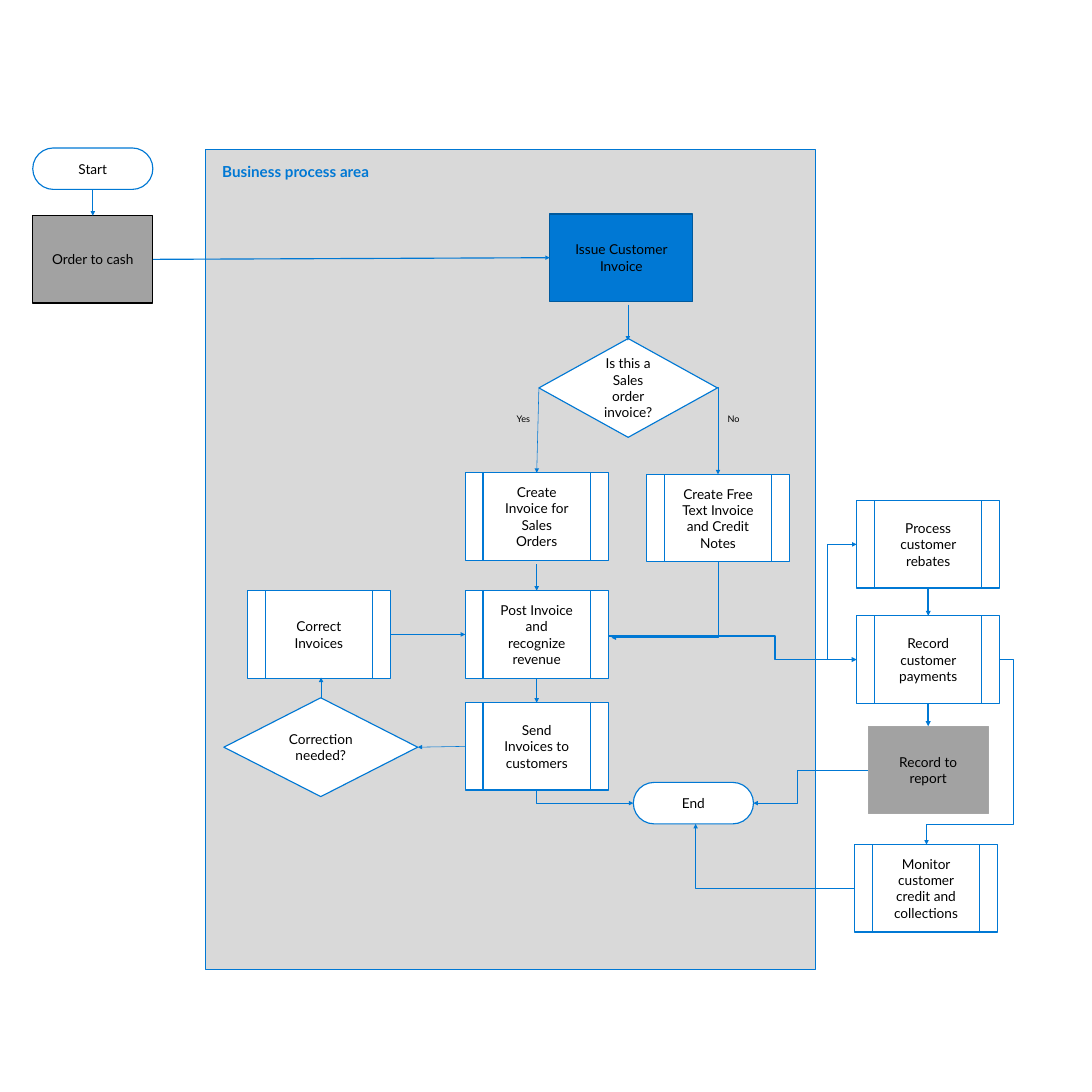
from pptx import Presentation
from pptx.dml.color import RGBColor
from pptx.enum.shapes import MSO_CONNECTOR as Connector, MSO_SHAPE as Shape
from pptx.enum.text import MSO_ANCHOR as Anchor, MSO_AUTO_SIZE as AutoSize, PP_ALIGN as Align
from pptx.oxml.ns import qn
from pptx.util import Emu, Pt
from lxml.etree import SubElement

PX = 9144  # 100 px to the inch
BLUE, DARK_BLUE, WHITE, BLACK = "0078D4", "00599D", "FFFFFF", "000000"
GREY, LIGHT_GREY, EDGE_GREY = "A2A2A2", "D9D9D9", "A6A6A6"
TOP, LEFT, BOTTOM, RIGHT = range(4)

NODE_FRAME = {"margin_left": Emu(30 * PX), "margin_right": Emu(30 * PX),
              "margin_top": Emu(24 * PX), "margin_bottom": Emu(24 * PX),
              "word_wrap": True, "vertical_anchor": Anchor.MIDDLE}
AREA_FRAME = {**NODE_FRAME, "vertical_anchor": Anchor.TOP}
LABEL_FRAME = {"margin_left": 0, "margin_right": 0, "margin_top": 0, "margin_bottom": 0,
               "word_wrap": True, "auto_size": AutoSize.SHAPE_TO_FIT_TEXT}


def px(*lengths):
    return [Emu(length * PX) for length in lengths]


def color(hex_string):
    return RGBColor.from_string(hex_string)


def apply_format(target, values):
    for name, value in values.items():
        setattr(target, name, value)


def write_text(shape, text, frame_format, ink=BLACK, size=18, bold=False, align=Align.CENTER):
    apply_format(shape.text_frame, frame_format)
    paragraph = shape.text_frame.paragraphs[0]
    paragraph.text = text
    paragraph.alignment = align
    font = paragraph.runs[0].font
    apply_format(font, {"name": "Lato", "size": Pt(size), "bold": bold})
    font.color.rgb = color(ink)


def add_block(slide, kind, box, fill=WHITE, line=BLUE):
    shape = slide.shapes.add_shape(kind, *px(*box))
    shape.shadow.inherit = False
    shape.fill.solid()
    shape.fill.fore_color.rgb = color(fill)
    shape.line.color.rgb = color(line)
    shape.line.width = Pt(1.5)
    return shape


def add_area(slide, text, box):
    area = add_block(slide, Shape.RECTANGLE, box, LIGHT_GREY)
    write_text(area, text, AREA_FRAME, BLUE, 20, True, Align.LEFT)


def add_node(slide, kind, text, box, fill=WHITE, line=BLUE):
    node = add_block(slide, kind, box, fill, line)
    write_text(node, text, NODE_FRAME)
    return node


def add_terminal(slide, text, left, top):
    terminal = add_node(slide, Shape.ROUNDED_RECTANGLE, text, (left, top, 220, 76))
    terminal.adjustments[0] = 0.5
    return terminal


def add_step(slide, text, left, top):
    return add_node(slide, Shape.FLOWCHART_PREDEFINED_PROCESS, text, (left, top, 262, 160))


def add_label(slide, text, left, top):
    label = slide.shapes.add_textbox(*px(left, top, 51, 20))
    write_text(label, text, LABEL_FRAME, size=12)


def style_arrow(connector, width, arrow_end):
    connector.line.color.rgb = color(BLUE)
    connector.line.width = Pt(width)
    properties = connector._element.spPr
    SubElement(properties.find(qn("a:ln")), qn(f"a:{arrow_end}"), type="triangle")
    SubElement(properties, qn("a:effectLst"))


def add_arrow(slide, begin, end, width=0.75):
    """Each end is a point (x, y) or a joint (shape, side)."""
    points = [(0, 0) if hasattr(place[0], "shape_id") else place for place in (begin, end)]
    connector = slide.shapes.add_connector(Connector.STRAIGHT, *px(*points[0], *points[1]))
    for place, join in ((begin, connector.begin_connect), (end, connector.end_connect)):
        if hasattr(place[0], "shape_id"):
            join(*place)
    style_arrow(connector, width, "tailEnd")


def add_elbow(slide, begin, end, arrow_end, bends=(), width=0.75):
    """Leaves begin sideways; bends are fractions of the width, then the height."""
    connector = slide.shapes.add_connector(Connector.ELBOW, *px(*begin, *end))
    geometry = connector._element.spPr.find(qn("a:prstGeom"))
    geometry.set("prst", f"bentConnector{len(bends) + 2}")
    guides = geometry.find(qn("a:avLst"))
    for number, bend in enumerate(bends, 1):
        SubElement(guides, qn("a:gd"), name=f"adj{number}", fmla=f"val {round(bend * 100000)}")
    style_arrow(connector, width, arrow_end)


def main():
    presentation = Presentation()
    presentation.slide_width, presentation.slide_height = px(2000, 2000)
    slide = presentation.slides.add_slide(presentation.slide_layouts[6])

    # Process area and its neighbours
    add_area(slide, "Business process area", (377, 274, 1117, 1501))
    start = add_terminal(slide, "Start", 60, 271)
    add_terminal(slide, "End", 1160, 1433)
    order = add_node(slide, Shape.RECTANGLE, "Order to cash", (60, 395, 220, 160), GREY, BLACK)
    issue = add_node(slide, Shape.RECTANGLE, "Issue Customer Invoice",
                     (1007, 392, 262, 160), BLUE, DARK_BLUE)
    report = add_node(slide, Shape.RECTANGLE, "Record to report",
                      (1590, 1330, 220, 160), GREY, EDGE_GREY)

    # Process steps
    create = add_step(slide, "Create Invoice for Sales Orders", 852, 866)
    post = add_step(slide, "Post Invoice and recognize revenue", 852, 1082)
    send = add_step(slide, "Send Invoices to customers", 852, 1287)
    correct = add_step(slide, "Correct Invoices", 453, 1082)
    add_step(slide, "Create Free Text Invoice and Credit Notes", 1184, 869)
    rebates = add_step(slide, "Process customer rebates", 1569, 917)
    payments = add_step(slide, "Record customer payments", 1569, 1128)
    add_step(slide, "Monitor customer credit and collections", 1565, 1547)

    # Decisions
    sales = add_node(slide, Shape.DIAMOND, "Is this a Sales order invoice?", (987, 620, 327, 181))
    correction = add_node(slide, Shape.DIAMOND, "Correction needed?", (410, 1278, 355, 181))
    add_label(slide, "Yes", 933, 758)
    add_label(slide, "No", 1318, 757)

    # Straight arrows
    for begin, end, width in (
        ((start, BOTTOM), (order, TOP), 1.5),
        ((order, RIGHT), (issue, LEFT), 1.5),
        ((1150, 558), (1150, 624), 0.75),
        ((sales, LEFT), (create, TOP), 0.75),
        ((983, 1033), (post, TOP), 0.75),
        ((post, BOTTOM), (send, TOP), 0.75),
        ((send, LEFT), (correction, RIGHT), 0.75),
        ((588, 1278), (588, 1241), 0.75),
        ((correct, RIGHT), (post, LEFT), 1.5),
        ((rebates, BOTTOM), (payments, TOP), 2.25),
        ((payments, BOTTOM), (report, TOP), 2.25),
    ):
        add_arrow(slide, begin, end, width)

    # Bent arrows: free text invoice, then rebates, end and credit monitoring
    add_elbow(slide, (1313, 710), (1315, 869), "tailEnd")
    add_elbow(slide, (1120, 1168), (1315, 1028), "headEnd")
    add_elbow(slide, (1114, 1165), (1569, 1208), "tailEnd", [0.67], 2.25)
    add_elbow(slide, (1569, 997), (1516, 1208), "headEnd")
    add_elbow(slide, (1160, 1471), (983, 1447), "headEnd")
    add_elbow(slide, (1380, 1471), (1590, 1410), "headEnd", [0.38])
    add_elbow(slide, (1565, 1627), (1274, 1509), "tailEnd")
    add_elbow(slide, (1831, 1208), (1697, 1547), "tailEnd", [-0.19, 0.89])

    presentation.save("out.pptx")


if __name__ == "__main__":
    main()
